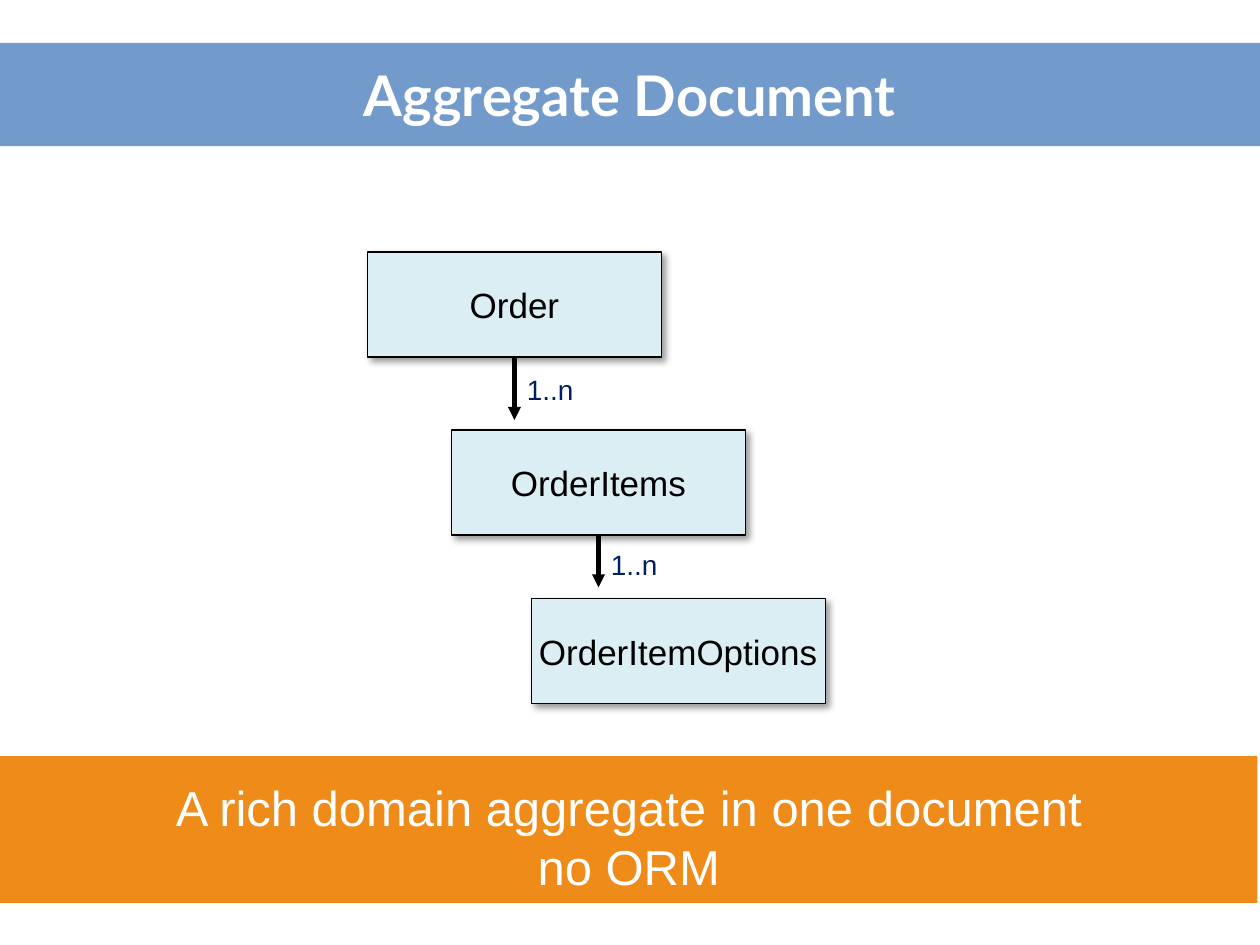
from dataclasses import dataclass

from lxml.etree import SubElement
from pptx import Presentation
from pptx.dml.color import RGBColor
from pptx.enum.shapes import MSO_CONNECTOR, MSO_SHAPE
from pptx.enum.text import MSO_ANCHOR, MSO_AUTO_SIZE, PP_ALIGN
from pptx.oxml.ns import qn
from pptx.util import Pt

BOX_W, BOX_H = 168, 60
BLACK, WHITE, NAVY = "000000", "FFFFFF", "002060"
BLUE, PALE, ORANGE = "4F81BD", "DBEEF4", "EF8B19"


@dataclass
class Node:
    """A class box, with the length of the arrow that leaves it."""
    name: str
    left: float
    top: float
    arrow: float = 0
    label: float = 0


NODES = [
    Node("Order", 210, 144, 36, 209.5),
    Node("OrderItems", 258, 245.7, 30, 309.6),
    Node("OrderItemOptions", 303.6, 342),
]


def paint(color, code: str) -> None:
    """Set a colour format from a hex string."""
    color.rgb = RGBColor.from_string(code)


def style(para, size: float, code: str, align=PP_ALIGN.CENTER,
          font: str = "Arial") -> None:
    """Set the font and alignment of a paragraph."""
    para.alignment = align
    para.font.name = font
    para.font.size = Pt(size)
    paint(para.font.color, code)


def add_rect(slide, left: float, top: float, width: float, height: float,
             code: str):
    """Add a plain filled rectangle."""
    rect = slide.shapes.add_shape(MSO_SHAPE.RECTANGLE, Pt(left), Pt(top),
                                  Pt(width), Pt(height))
    rect.shadow.inherit = False
    rect.fill.solid()
    paint(rect.fill.fore_color, code)
    rect.line.fill.background()
    return rect


def add_text(slide, text: str, left: float, top: float, width: float,
             height: float):
    """Add a wrapping text box and return its paragraph."""
    box = slide.shapes.add_textbox(Pt(left), Pt(top), Pt(width), Pt(height))
    frame = box.text_frame
    frame.word_wrap = True
    frame.auto_size = MSO_AUTO_SIZE.SHAPE_TO_FIT_TEXT
    frame.text = text
    return frame.paragraphs[0]


def add_alpha(color, share: int) -> None:
    """Give a colour element an opacity in percent."""
    SubElement(color, qn("a:alpha"), val=str(share * 1000))


def add_shade(shape) -> None:
    """Add a soft shadow to the lower right."""
    effects = shape.element.spPr.find(qn("a:effectLst"))
    shade = SubElement(effects, qn("a:outerShdw"), blurRad=str(Pt(4)),
                       dist=str(Pt(3)), dir=str(45 * 60000), algn="tl",
                       rotWithShape="0")
    add_alpha(SubElement(shade, qn("a:srgbClr"), val=BLACK), 40)


def add_node(slide, node: Node) -> None:
    """Draw a class box with its name."""
    rect = add_rect(slide, node.left, node.top, BOX_W, BOX_H, PALE)
    add_shade(rect)
    paint(rect.line.color, BLACK)
    rect.line.width = Pt(0.75)
    frame = rect.text_frame
    frame.word_wrap = False
    frame.vertical_anchor = MSO_ANCHOR.MIDDLE
    frame.text = node.name
    style(frame.paragraphs[0], 20, BLACK)


def add_arrow(slide, node: Node) -> None:
    """Draw the arrow below a box and its multiplicity."""
    mid, top = node.left + BOX_W / 2, node.top + BOX_H
    line = slide.shapes.add_connector(MSO_CONNECTOR.STRAIGHT, Pt(mid), Pt(top),
                                      Pt(mid), Pt(top + node.arrow))
    paint(line.line.color, BLACK)
    line.line.width = Pt(2.5)
    SubElement(line.line._get_or_add_ln(), qn("a:tailEnd"), type="triangle")
    SubElement(line.element.spPr, qn("a:effectLst"))
    para = add_text(slide, "1..n", mid, node.label, 54, 26.6)
    style(para, 16, NAVY, PP_ALIGN.LEFT)


def add_title(slide, text: str) -> None:
    """Draw the header band and place the title on it."""
    band = add_rect(slide, 0, 24.5, 720, 59, BLUE)
    add_alpha(next(band.element.spPr.iter(qn("a:srgbClr"))), 80)
    title = slide.shapes.title
    title.left, title.top = Pt(36), Pt(24)
    title.width, title.height = Pt(648), Pt(60)
    frame = title.text_frame
    frame.vertical_anchor = MSO_ANCHOR.MIDDLE
    frame.text = text
    para = frame.paragraphs[0]
    style(para, 32, WHITE, font="Lato")
    para.font.bold = True
    slide.shapes._spTree.append(title.element)


def add_banner(slide, text: str) -> None:
    """Draw the closing banner at the foot."""
    add_rect(slide, -1.4, 432, 720, 84, ORANGE)
    para = add_text(slide, text, -0.7, 440.6, 720, 75)
    style(para, 28, WHITE)
    para.space_after = Pt(4)


def main() -> None:
    """Build and save the slide."""
    deck = Presentation()
    deck.slide_width, deck.slide_height = Pt(720), Pt(540)
    slide = deck.slides.add_slide(deck.slide_layouts[5])
    add_title(slide, "Aggregate Document")
    for node in NODES:
        add_node(slide, node)
    for node in NODES[:-1]:
        add_arrow(slide, node)
    add_banner(slide, "A rich domain aggregate in one document\vno ORM")
    deck.save("out.pptx")


main()
